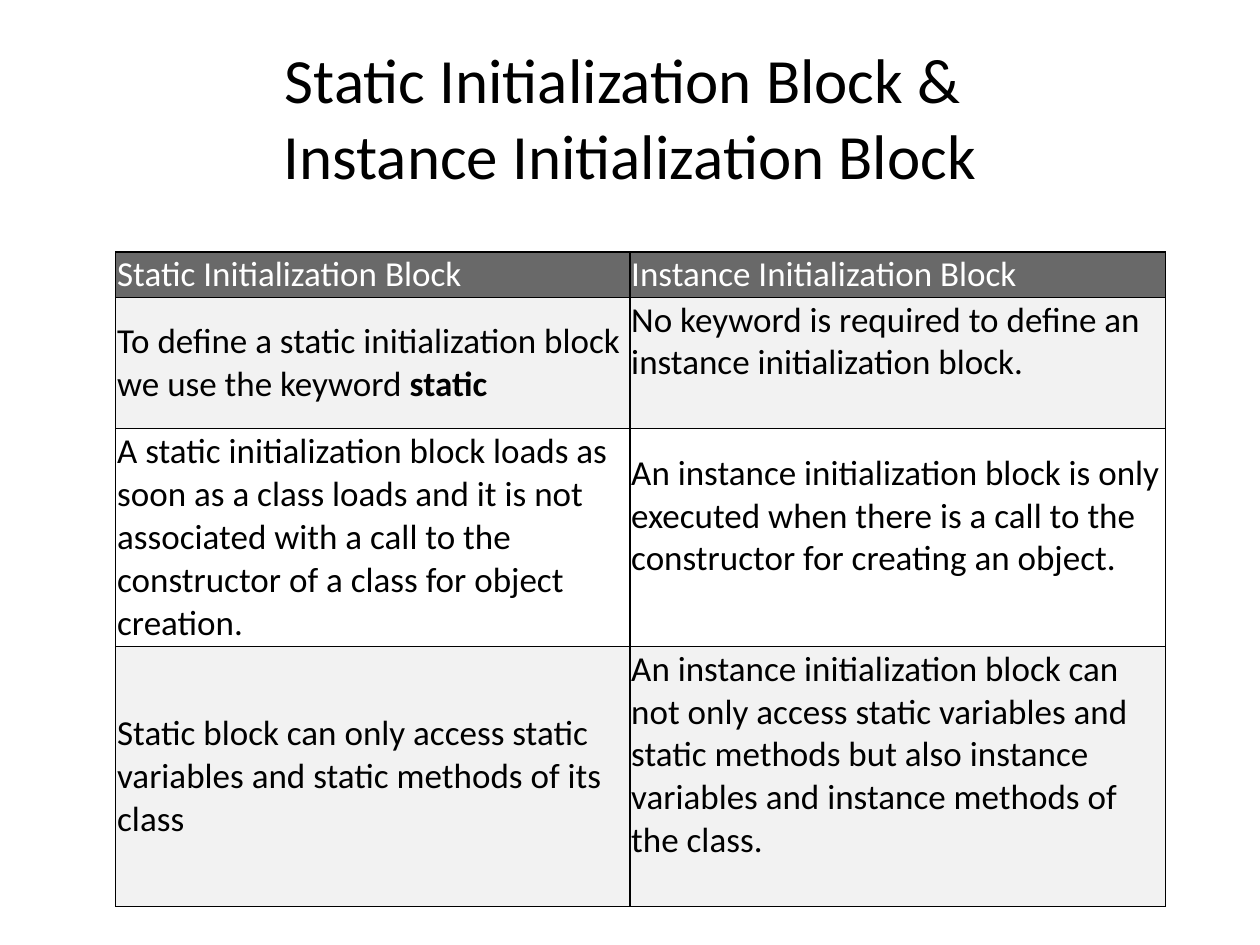
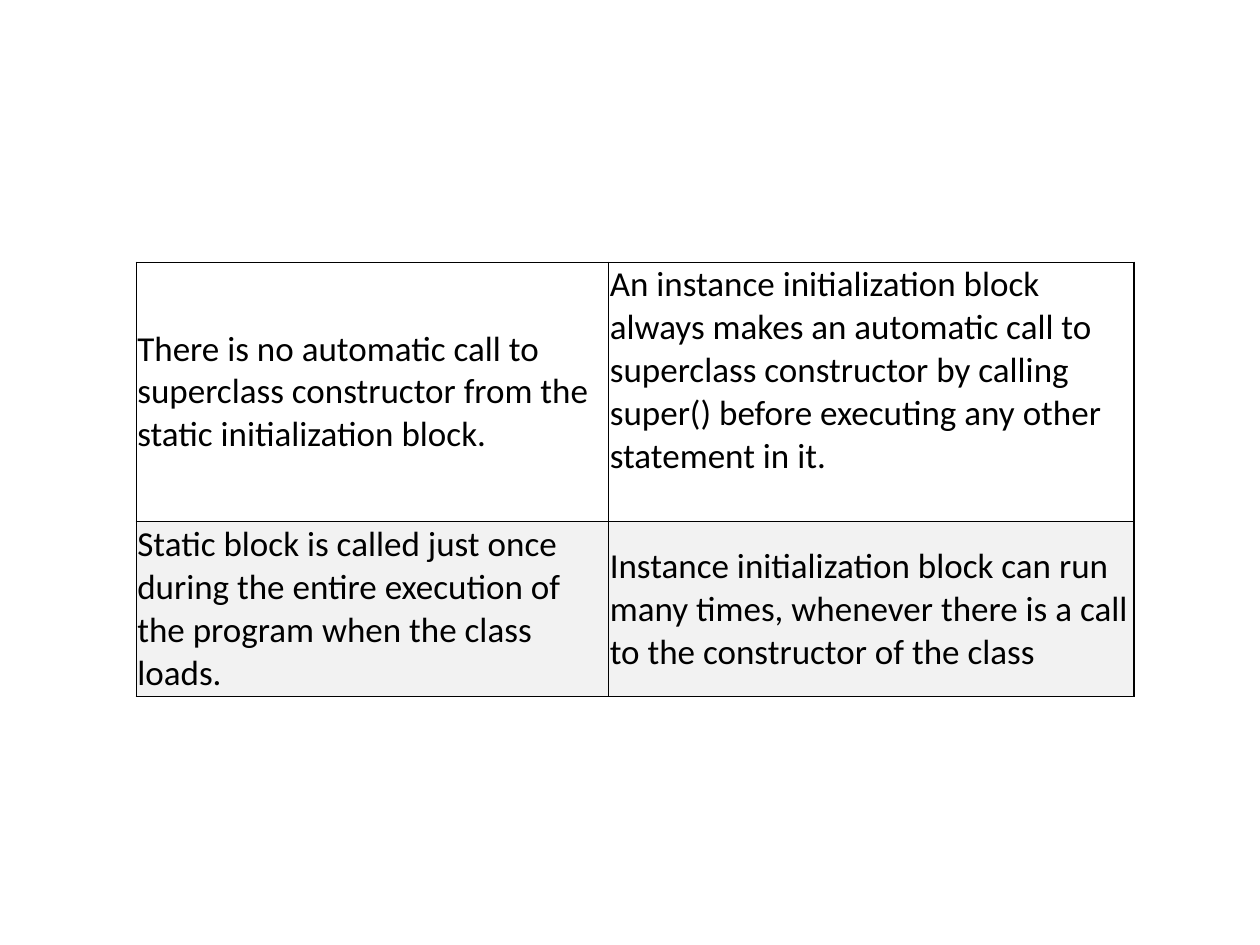
from lxml import etree
from pptx import Presentation
from pptx.dml.color import RGBColor
from pptx.enum.text import MSO_ANCHOR, PP_ALIGN
from pptx.oxml.ns import qn
from pptx.util import Inches, Pt

BLACK = RGBColor(0x00, 0x00, 0x00)
WHITE = RGBColor(0xFF, 0xFF, 0xFF)
GRAY = RGBColor(0x69, 0x69, 0x69)
PALE = RGBColor(0xF2, 0xF2, 0xF2)
MIDDLE = MSO_ANCHOR.MIDDLE
CENTER = PP_ALIGN.CENTER
TITLE_ONLY, BLANK = 5, 6

HEADS = ("Static Initialization Block", "Instance Initialization Block")
# Each cell is a list of (text, bold) runs or a plain string
BASICS = [
    ([("To define a static initialization block we use the keyword\u00a0", False),
      ("static", True)],
     "No keyword is required to define an instance initialization block.\v"),
    ("A static initialization block loads as soon as a class loads and it is not "
     "associated with a call to the constructor of a class for object creation.",
     "An instance initialization block is only executed when there is a call to "
     "the constructor for creating an object.\v"),
    ("Static block can only access static variables and static methods of its class",
     "An instance initialization block can not only access static variables and "
     "static methods but also instance variables and instance methods of the class.\v"),
]
CALLS = [
    ("There is no automatic call to superclass constructor from the static "
     "initialization block.",
     "An instance initialization block always makes an automatic call to superclass "
     "constructor by calling super() before executing any other statement in it.\v"),
    ("Static block is called just once during the entire execution of the program "
     "when the class loads.",
     "Instance initialization block can run many times, whenever there is a call "
     "to the constructor of the class"),
]


class Deck:
    font = "Calibri"
    title_size = Pt(36)
    cell_size = Pt(20)
    inset = Inches(0.01)
    edge = Pt(0.75)

    def __init__(self):
        self.prs = Presentation()
        self.prs.slide_width = Inches(10)
        self.prs.slide_height = Inches(7.5)
        self.slide = None

    def add_slide(self, layout):
        self.slide = self.prs.slides.add_slide(self.prs.slide_layouts[layout])

    def style(self, para, size, color):
        para.font.name = self.font
        para.font.size = size
        para.font.color.rgb = color

    def title(self, text):
        box = self.slide.shapes.title
        box.left, box.top = Inches(0.5), Inches(0.3)
        box.width, box.height = Inches(9), Inches(1.25)
        frame = box.text_frame
        frame.vertical_anchor = MIDDLE
        para = frame.paragraphs[0]
        para.text = text
        para.alignment = CENTER
        self.style(para, self.title_size, BLACK)

    def border(self, cell):
        props = cell._tc.get_or_add_tcPr()
        for index, side in enumerate(("a:lnL", "a:lnR", "a:lnT", "a:lnB")):
            line = etree.Element(qn(side), w=str(self.edge))
            fill = etree.SubElement(line, qn("a:solidFill"))
            etree.SubElement(fill, qn("a:srgbClr"), val=str(BLACK))
            props.insert(index, line)

    def cell(self, cell, text, fill, color):
        cell.fill.solid()
        cell.fill.fore_color.rgb = fill
        cell.vertical_anchor = MIDDLE
        cell.margin_left = cell.margin_right = self.inset
        cell.margin_top = cell.margin_bottom = self.inset
        para = cell.text_frame.paragraphs[0]
        if isinstance(text, str):
            para.text = text
        else:
            for words, bold in text:
                run = para.add_run()
                run.text = words
                run.font.bold = bold
        self.style(para, self.cell_size, color)
        self.border(cell)

    def table(self, left, top, widths, heights, rows, fills):
        shape = self.slide.shapes.add_table(
            len(rows), len(widths), Inches(left), Inches(top),
            Inches(sum(widths)), Inches(sum(heights)))
        table = shape.table
        table.first_row = table.horz_banding = False
        for column, width in zip(table.columns, widths):
            column.width = Inches(width)
        for row, height, texts, fill in zip(table.rows, heights, rows, fills):
            row.height = Inches(height)
            color = WHITE if fill == GRAY else BLACK
            for cell, text in zip(row.cells, texts):
                self.cell(cell, text, fill, color)


def main():
    deck = Deck()

    # Definition, loading and access
    deck.add_slide(TITLE_ONLY)
    deck.title("Static Initialization Block & \vInstance Initialization Block")
    deck.table(0.92, 2, (4.08, 4.25), (0.36, 1.04, 1.73, 2.06),
               [HEADS] + BASICS, (GRAY, PALE, WHITE, PALE))

    # Constructor calls and number of runs
    deck.add_slide(BLANK)
    deck.table(1.08, 2.08, (3.75, 4.17), (2.06, 1.39), CALLS, (WHITE, PALE))

    deck.prs.save("out.pptx")


if __name__ == "__main__":
    main()
